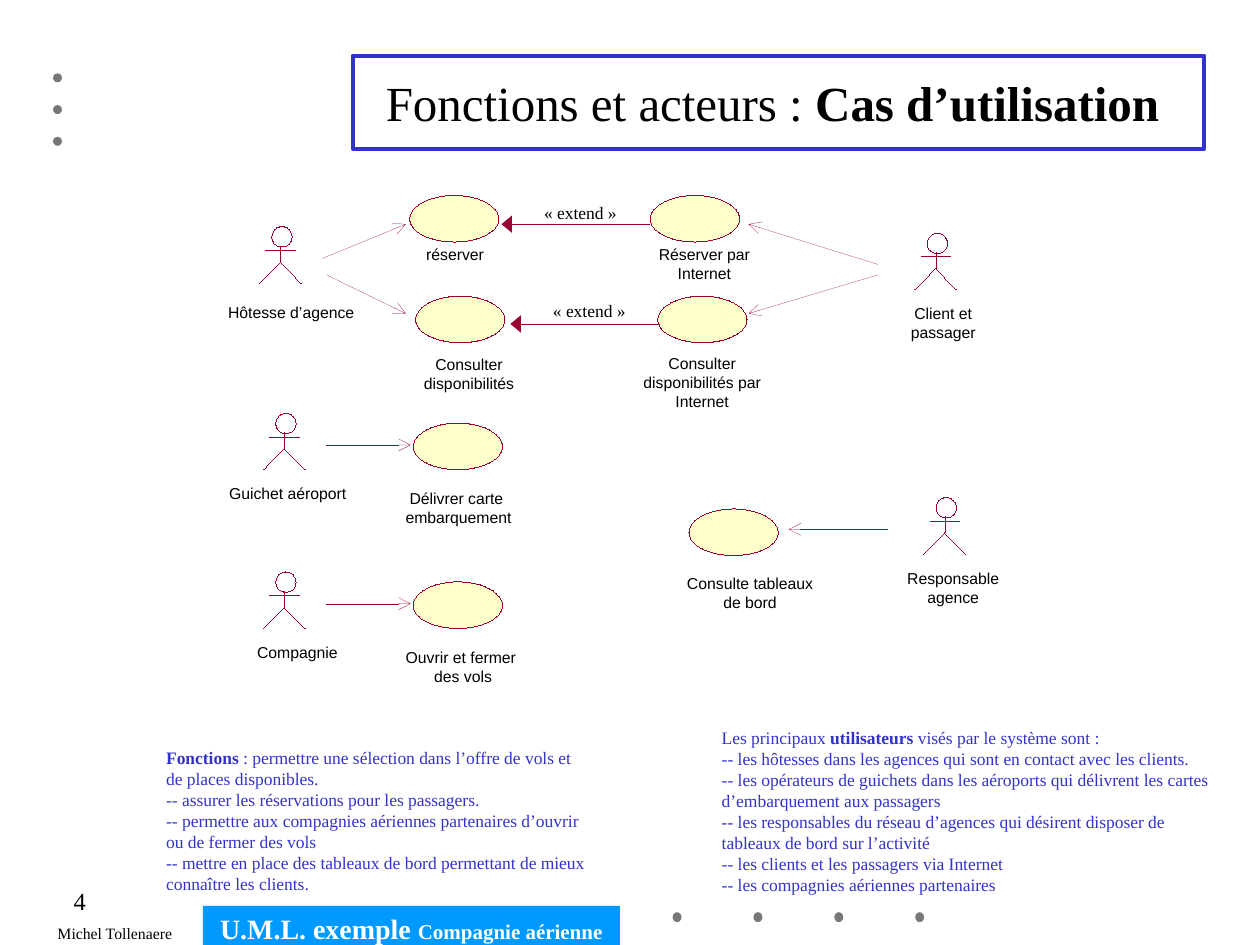
from dataclasses import dataclass

from lxml import etree
from pptx import Presentation
from pptx.dml.color import RGBColor
from pptx.enum.shapes import MSO_CONNECTOR, MSO_SHAPE
from pptx.enum.text import MSO_ANCHOR, MSO_AUTO_SIZE, PP_ALIGN
from pptx.oxml.ns import qn
from pptx.util import Cm, Pt

OVAL, RECTANGLE = MSO_SHAPE.OVAL, MSO_SHAPE.RECTANGLE
STRAIGHT = MSO_CONNECTOR.STRAIGHT
TOP, MIDDLE = MSO_ANCHOR.TOP, MSO_ANCHOR.MIDDLE
LEFT, CENTER, RIGHT = PP_ALIGN.LEFT, PP_ALIGN.CENTER, PP_ALIGN.RIGHT
NO_AUTOFIT, FIT_SHAPE = MSO_AUTO_SIZE.NONE, MSO_AUTO_SIZE.SHAPE_TO_FIT_TEXT
TITLE_ONLY = 5


@dataclass(frozen=True)
class Theme:
    serif: str = "Times New Roman"
    sans: str = "Arial"
    ink: RGBColor = RGBColor(0, 0, 0)
    white: RGBColor = RGBColor(255, 255, 255)
    blue: RGBColor = RGBColor(0x33, 0x33, 0xCC)
    banner: RGBColor = RGBColor(0x00, 0x99, 0xFF)
    outline: RGBColor = RGBColor(0x99, 0x00, 0x33)
    oval: RGBColor = RGBColor(0xFF, 0xFF, 0xCC)
    dot: RGBColor = RGBColor(0x77, 0x77, 0x77)
    title: int = 28
    banner_large: int = 16
    number: int = 14
    banner_small: int = 12
    note: int = 10
    label: int = 9


THEME = Theme()

ACTORS = [
    ((5.23, 4.57), ["Hôtesse d’agence"], (-0.68, 1.53, 2.64, 0.38), False),
    ((5.31, 8.33), ["Guichet aéroport"], (-0.74, 1.42, 2.46, 0.38), False),
    ((5.31, 11.53), ["Compagnie"], (-0.18, 1.42, 1.73, 0.38), False),
    ((18.44, 4.7), ["Client et passager"], (-0.53, 1.42, 2.21, 0.76), True),
    ((18.62, 10.03), ["Responsable agence"], (-0.51, 1.43, 2.21, 0.76), True),
]
USE_CASES = [
    ((8.26, 3.94), ["réserver"], (0.28, 0.99, 1.27, 0.38), False),
    ((8.38, 5.97), ["Consulter disponibilités"], (-0.18, 1.19, 2.51, 0.76), True),
    ((8.33, 8.53), ["Délivrer carte ", "embarquement"], (-0.25, 1.33, 2.33, 0.76), False),
    ((8.33, 11.73), ["Ouvrir et fermer ", "des vols"], (-0.25, 1.33, 2.51, 0.76), False),
    ((13.11, 3.94), ["Réserver par Internet"], (0, 0.99, 2.18, 0.76), True),
    ((13.26, 5.97), ["Consulter disponibilités par Internet"], (-0.36, 1.17, 2.51, 1.14), True),
    ((13.89, 10.26), ["Consulte tableaux de bord"], (-0.22, 1.3, 2.9, 0.76), True),
]
ASSOCIATIONS = [
    ((6.5, 5.21), (8.18, 4.52)),
    ((6.58, 5.54), (8.18, 6.32)),
    ((6.58, 8.97), (8.28, 8.97)),
    ((6.58, 12.17), (8.28, 12.17)),
    ((17.7, 5.33), (15.09, 4.52)),
    ((17.7, 5.54), (15.09, 6.32)),
    ((17.91, 10.67), (15.9, 10.67)),
]
EXTENSIONS = [
    ((13.11, 4.52), (10.11, 4.52), (10.62, 3.94, 2.16, 0.69)),
    ((13.31, 6.53), (10.29, 6.53), (10.8, 5.92, 2.16, 0.69)),
]
FUNCTIONS = [
    [("Fonctions ", True),
     (": permettre une sélection dans l’offre de vols et de places disponibles.", False)],
    "-- assurer les réservations pour les passagers.",
    "-- permettre aux compagnies aériennes partenaires d’ouvrir ou de fermer des vols",
    "-- mettre en place des tableaux de bord permettant de mieux connaître les clients.",
]
USERS = [
    [("Les principaux ", False), ("utilisateurs", True), (" visés par le système sont :", False)],
    "-- les hôtesses dans les agences qui sont en contact avec les clients.",
    "-- les opérateurs de guichets dans les aéroports qui délivrent les cartes "
    "d’embarquement aux passagers",
    "-- les responsables du réseau d’agences qui désirent disposer de tableaux de bord "
    "sur l’activité",
    "-- les clients et les passagers via Internet",
    "-- les compagnies aériennes partenaires",
]


def lengths(box):
    return [Cm(value) for value in box]


def write(frame, paragraphs, size, color=THEME.ink, font=THEME.serif, align=LEFT):
    for index, content in enumerate(paragraphs):
        paragraph = frame.add_paragraph() if index else frame.paragraphs[0]
        paragraph.alignment = align
        paragraph.font.name = font
        paragraph.font.size = Pt(size)
        paragraph.font.color.rgb = color
        for text, bold in [(content, False)] if isinstance(content, str) else content:
            run = paragraph.add_run()
            run.text = text
            run.font.bold = bold


def add_text(slide, box, paragraphs, size, wrap=True, inset=True, **style):
    frame = slide.shapes.add_textbox(*lengths(box)).text_frame
    frame.word_wrap = wrap
    frame.auto_size = FIT_SHAPE
    if not inset:
        frame.margin_left = frame.margin_top = frame.margin_right = frame.margin_bottom = 0
    write(frame, paragraphs, size, **style)


def remove_theme_style(shape):
    element = shape._element
    element.remove(element.find(qn("p:style")))


def paint(shape, fill=None, line=None):
    remove_theme_style(shape)
    shape.shadow.inherit = False
    for part, color in ((shape.fill, fill), (shape.line.fill, line)):
        if color is None:
            part.background()
        else:
            part.solid()
            part.fore_color.rgb = color
    if line is not None:
        shape.line.width = Pt(0)


def add_shape(slide, kind, box, fill=None, line=None):
    shape = slide.shapes.add_shape(kind, *lengths(box))
    paint(shape, fill, line)
    return shape


def add_line(slide, start, end, head=None, head_width="med"):
    connector = slide.shapes.add_connector(STRAIGHT, *lengths(start + end))
    remove_theme_style(connector)
    connector.line.color.rgb = THEME.outline
    connector.line.width = Pt(0)
    if head:
        line = connector.line._get_or_add_ln()
        etree.SubElement(line, qn("a:tailEnd"), type=head, w=head_width, len="med")
    etree.SubElement(connector._element.spPr, qn("a:effectLst"))


def draw_title(slide, box):
    title = slide.shapes.title
    title.left, title.top, title.width, title.height = lengths(box)
    title.line.color.rgb = THEME.blue
    title.line.width = Pt(2.25)
    frame = title.text_frame
    frame.auto_size = NO_AUTOFIT
    frame.vertical_anchor = MIDDLE
    write(frame, [[("Fonctions et acteurs : ", False), ("Cas d’utilisation ", True)]],
          THEME.title, align=CENTER)


def draw_dots(slide, box, count, step_x, step_y):
    left, top, width, height = box
    for index in range(count):
        place = (left + index * step_x, top + index * step_y, width, height)
        add_shape(slide, OVAL, place, THEME.dot)


def draw_banner(slide, box):
    banner = add_shape(slide, RECTANGLE, box, THEME.banner)
    frame = banner.text_frame
    frame.vertical_anchor = TOP
    write(frame, [[("U.M.L. exemple ", True), ("Compagnie aérienne", True)]],
          THEME.banner_large, color=THEME.white, align=CENTER)
    frame.paragraphs[0].runs[1].font.size = Pt(THEME.banner_small)


def draw_label(slide, origin, lines, offset, wrap):
    left, top = origin
    box = (left + offset[0], top + offset[1], *offset[2:])
    add_text(slide, box, lines, THEME.label, wrap, inset=False, font=THEME.sans, align=CENTER)


def draw_actor(slide, origin, *label):
    left, top = origin

    def at(x, y):
        return left + x, top + y

    add_shape(slide, OVAL, (*at(0.25, 0), 0.41, 0.41), line=THEME.outline)
    add_line(slide, at(0.43, 0.39), at(0.43, 0.71))
    add_line(slide, at(0.13, 0.48), at(0.72, 0.48))
    builder = slide.shapes.build_freeform(*lengths(at(0, 1.14)))
    builder.add_line_segments([lengths(at(0.42, 0.71)), lengths(at(0.84, 1.14))], close=False)
    paint(builder.convert_to_shape(), line=THEME.outline)
    draw_label(slide, origin, *label)


def draw_use_case(slide, origin, *label):
    add_shape(slide, OVAL, (*origin, 1.8, 0.94), THEME.oval, THEME.outline)
    draw_label(slide, origin, *label)


def main():
    presentation = Presentation()
    presentation.slide_width, presentation.slide_height = Cm(25.4), Cm(19.05)
    slide = presentation.slides.add_slide(presentation.slide_layouts[TITLE_ONLY])
    draw_title(slide, (7.11, 1.12, 17.17, 1.88))
    draw_dots(slide, (1.07, 1.48, 0.18, 0.18), 3, 0, 0.64)
    draw_dots(slide, (13.56, 18.39, 0.18, 0.2), 4, 1.63, 0)
    draw_banner(slide, (4.09, 18.26, 8.41, 0.79))
    for actor in ACTORS:
        draw_actor(slide, *actor)
    for use_case in USE_CASES:
        draw_use_case(slide, *use_case)
    for start, end in ASSOCIATIONS:
        add_line(slide, start, end, "arrow")
    for start, end, box in EXTENSIONS:
        add_line(slide, start, end, "triangle", "lg")
        add_text(slide, box, ["« extend »"], THEME.note, wrap=False, align=CENTER)
    add_text(slide, (3.1, 14.94, 8.99, 3.23), FUNCTIONS, THEME.note, color=THEME.blue)
    add_text(slide, (14.3, 14.53, 10.34, 3.66), USERS, THEME.note, color=THEME.blue)
    add_text(slide, (0, 17.73, 1.98, 0.79), ["4"], THEME.number, align=RIGHT)
    add_text(slide, (0.91, 18.49, 2.84, 0.64), ["Michel Tollenaere"], THEME.label, wrap=False)
    presentation.save("out.pptx")


if __name__ == "__main__":
    main()
